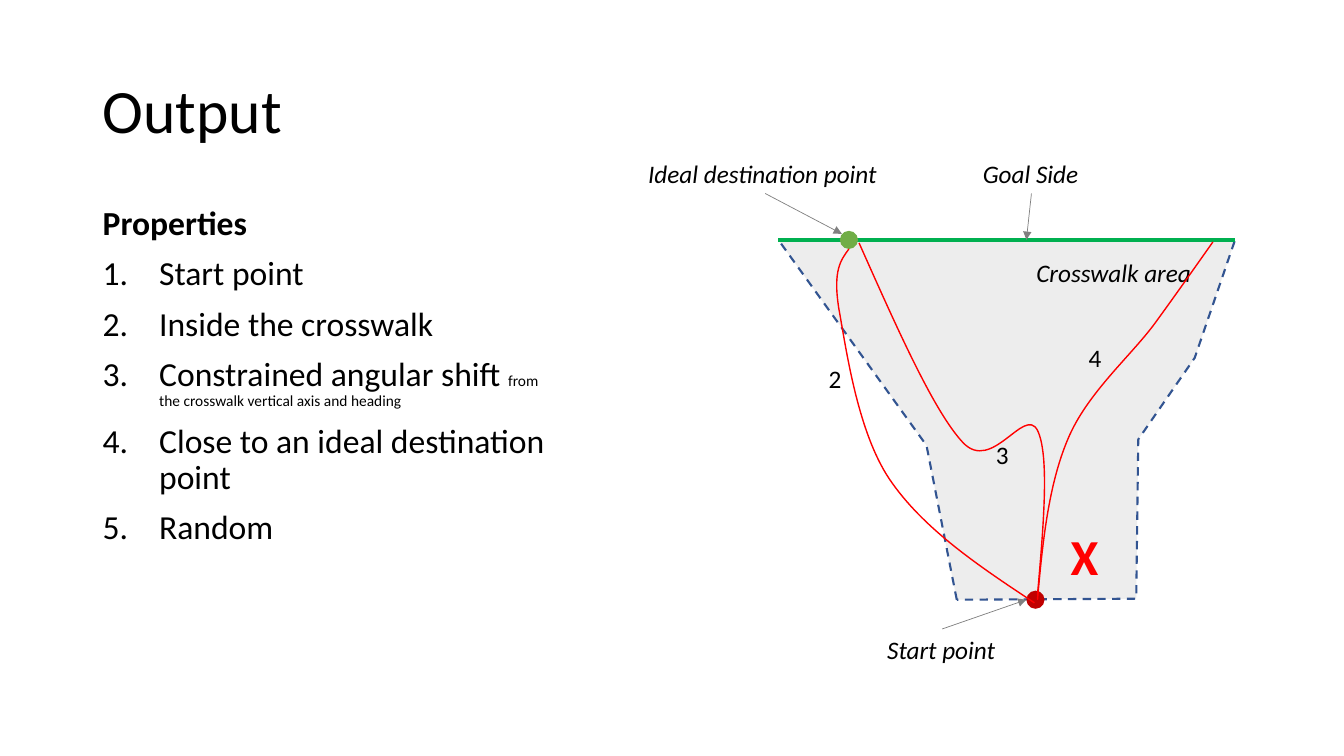
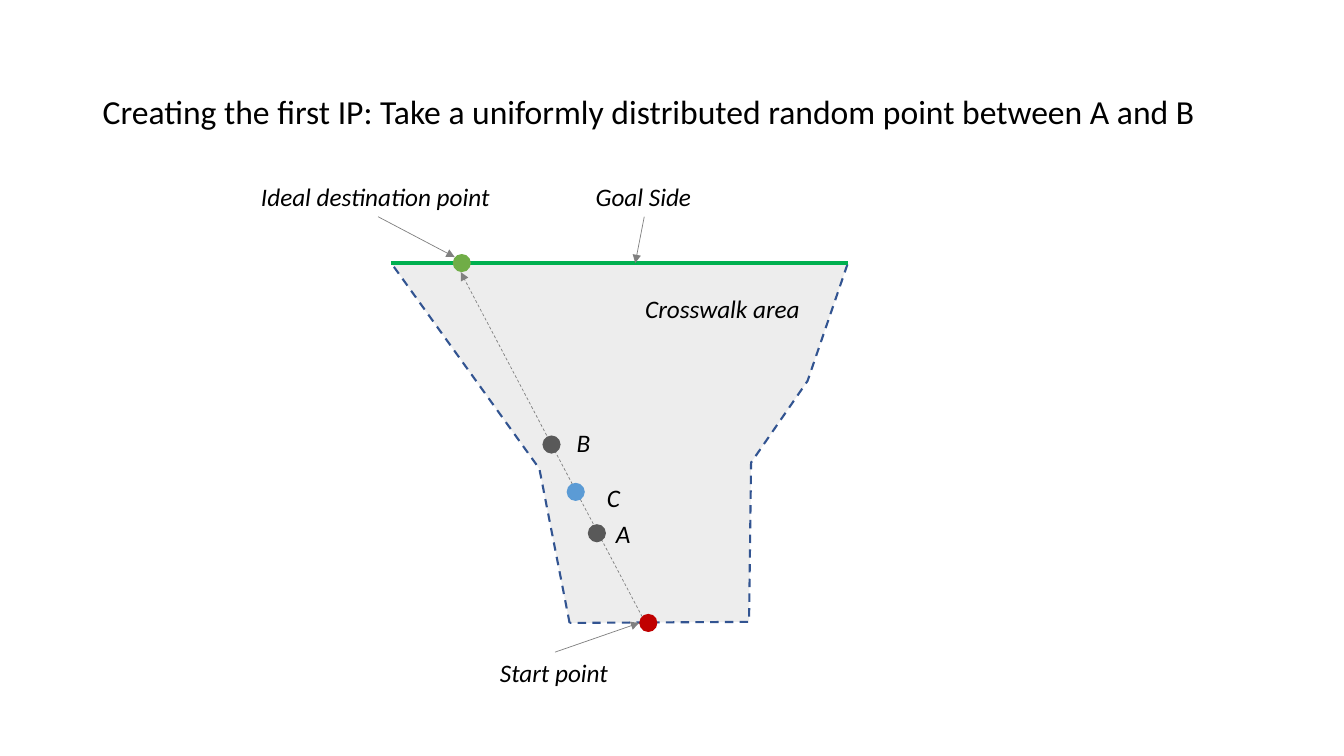
from lxml import etree
from pptx import Presentation
from pptx.dml.color import RGBColor
from pptx.enum.dml import MSO_LINE
from pptx.enum.shapes import MSO_CONNECTOR, MSO_SHAPE
from pptx.enum.text import MSO_ANCHOR
from pptx.oxml.ns import qn
from pptx.util import Inches, Pt

DASH = MSO_LINE.DASH
STRAIGHT = MSO_CONNECTOR.STRAIGHT
OVAL = MSO_SHAPE.OVAL
MIDDLE = MSO_ANCHOR.MIDDLE
TOP, BOTTOM = 0, 2

FONT = "Calibri"
BLACK, RED, GRAY = "000000", "FF0000", "808080"
AREA_FILL, AREA_LINE, GOAL_GREEN = "EDEDED", "325491", "00B050"
START_RED, IDEAL_GREEN, LIMIT_GRAY, PICK_BLUE = "C00000", "70AD47", "595959", "5B9BD5"
DOT = 0.18
LABEL_HEIGHT = 0.4


def paint(shape, fill=None, line=None, width=1, dash=None, arrow=False):
    """Set fill, outline and arrowhead, and switch the shadow off."""
    if fill:
        shape.fill.solid()
        shape.fill.fore_color.rgb = RGBColor.from_string(fill)
    elif hasattr(shape, "fill"):
        shape.fill.background()
    if line:
        shape.line.color.rgb = RGBColor.from_string(line)
        shape.line.width = Pt(width)
        if dash:
            shape.line.dash_style = dash
    else:
        shape.line.fill.background()
    properties = shape._element.spPr
    if arrow:
        etree.SubElement(properties.find(qn("a:ln")), qn("a:tailEnd"), type="triangle")
    etree.SubElement(properties, qn("a:effectLst"))


def add_text(slide, text, box, size=18, color=BLACK, bold=False, italic=False, wrap=False):
    shape = slide.shapes.add_textbox(*[Inches(value) for value in box])
    shape.text_frame.word_wrap = wrap
    paragraph = shape.text_frame.paragraphs[0]
    paragraph.text = text
    font = paragraph.font
    font.name, font.size, font.bold, font.italic = FONT, Pt(size), bold, italic
    font.color.rgb = RGBColor.from_string(color)
    return shape


presentation = Presentation()
presentation.slide_width = Inches(13.33)
presentation.slide_height = Inches(7.5)
blank_layout = presentation.slide_layouts[6]

# Crosswalk diagram, measured from the left end of the goal side
outline = [(1.77, 3.57), (1.47, 2.04), (0, 0), (4.53, 0), (4.13, 1.17), (3.57, 1.98), (3.55, 3.56)]
start_point, ideal_point = (2.55, 3.57), (0.7, 0)

# Title, title size, diagram origin, area label offset, goal arrow tip, extra dots
scenes = [
    ("Output", 44, (7.72, 2.38), (2.46, 0.12), 2.46, []),
    ("Creating the first IP: Take a uniformly distributed random point between A and B",
     24, (3.88, 2.61), (2.42, 0.25), 2.42,
     [(2.04, 2.68, LIMIT_GRAY), (1.59, 1.8, LIMIT_GRAY), (1.83, 2.27, PICK_BLUE)]),
]

slides = []
for title, title_size, (left, top), area_label, goal_tip, extra_dots in scenes:
    slide = presentation.slides.add_slide(blank_layout)
    slides.append(slide)

    # Title
    heading = add_text(slide, title, (0.92, 0.4, 11.5, 1.45), title_size, wrap=True)
    heading.text_frame.vertical_anchor = MIDDLE
    heading.text_frame.paragraphs[0].line_spacing = 0.9

    # Crosswalk area and goal side
    corners = [(Inches(left + x), Inches(top + y)) for x, y in outline]
    builder = slide.shapes.build_freeform(*corners[0])
    builder.add_line_segments(corners[1:], close=True)
    paint(builder.convert_to_shape(), AREA_FILL, AREA_LINE, 1.5, DASH)
    goal_side = slide.shapes.add_connector(
        STRAIGHT, Inches(left), Inches(top), Inches(left + 4.53), Inches(top))
    paint(goal_side, line=GOAL_GREEN, width=3)

    # Line of sight, drawn only where points lie on it
    if extra_dots:
        sight = slide.shapes.add_connector(
            STRAIGHT, Inches(left + 2.49), Inches(top + 3.51),
            Inches(left + 0.69), Inches(top + 0.09))
        paint(sight, line=GRAY, width=0.5, dash=DASH, arrow=True)

    # Dots
    for x, y, color in [(*start_point, START_RED), (*ideal_point, IDEAL_GREEN), *extra_dots]:
        dot = slide.shapes.add_shape(
            OVAL, Inches(left + x - DOT / 2), Inches(top + y - DOT / 2), Inches(DOT), Inches(DOT))
        paint(dot, color)

    # Labels, three of them with an arrow from the middle of a side
    add_text(slide, "Crosswalk area",
             (left + area_label[0], top + area_label[1], 1.75, LABEL_HEIGHT), italic=True)
    for text, x, y, width, side, tip in [
        ("Start point", 0.98, 3.86, 1.29, TOP, (2.46, 3.57)),
        ("Goal Side", 1.93, -0.86, 1.16, BOTTOM, (goal_tip, 0)),
        ("Ideal destination point", -1.39, -0.86, 2.52, BOTTOM, (0.63, -0.06)),
    ]:
        label = add_text(slide, text, (left + x, top + y, width, LABEL_HEIGHT), italic=True)
        pointer = slide.shapes.add_connector(
            STRAIGHT, 0, 0, Inches(left + tip[0]), Inches(top + tip[1]))
        pointer.begin_connect(label, side)
        paint(pointer, line=GRAY, width=0.5, arrow=True)

output_slide, first_ip_slide = slides

# Output: numbered properties
body = add_text(output_slide, "Properties", (0.92, 2, 4.65, 4.76), 24, bold=True, wrap=True)
properties_list = [
    ("Start point", ""),
    ("Inside the crosswalk", ""),
    ("Constrained angular shift ", "from the crosswalk vertical axis and heading"),
    ("Close to an ideal destination point", ""),
    ("Random", ""),
]
for text, remark in properties_list:
    paragraph = body.text_frame.add_paragraph()
    paragraph.text = text
    settings = paragraph._p.get_or_add_pPr()
    settings.set("marL", str(Inches(0.56)))
    settings.set("indent", str(Inches(-0.56)))
    etree.SubElement(settings, qn("a:buAutoNum"), type="arabicPeriod")
    paragraph.font.name, paragraph.font.size = FONT, Pt(24)
    paragraph.font.color.rgb = RGBColor.from_string(BLACK)
    if remark:
        run = paragraph.add_run()
        run.text = remark
        run.font.size = Pt(11)
for paragraph in body.text_frame.paragraphs:
    paragraph.line_spacing = 0.9
    paragraph.space_before = Pt(10)

# Output: rejected trajectories, a start and then three points for each curve
trajectories = [
    [(10.26, 5.98), (9.7, 5.61), (9.15, 5.24), (8.82, 4.75), (8.5, 4.27),
     (8.39, 3.44), (8.32, 3.06), (8.26, 2.68), (8.34, 2.58), (8.42, 2.47)],
    [(10.29, 5.9), (10.35, 5.21), (10.41, 4.52), (10.29, 4.27), (10.16, 4.02),
     (9.84, 4.7), (9.55, 4.39), (9.26, 4.08), (8.89, 3.24), (8.52, 2.41)],
    [(10.29, 5.95), (10.34, 5.38), (10.4, 4.81), (10.59, 4.36), (10.78, 3.9),
     (11.22, 3.53), (11.46, 3.2), (11.7, 2.87), (11.86, 2.64), (12.03, 2.4)],
]
for trajectory in trajectories:
    points = [(Inches(x), Inches(y)) for x, y in trajectory]
    builder = output_slide.shapes.build_freeform(*points[0])
    builder.add_line_segments(points[1:], close=False)
    curve = builder.convert_to_shape()
    paint(curve, line=RED)
    # Turn every three straight segments into one Bézier segment
    segments = list(curve._element.iter(qn("a:lnTo")))
    outline_element = segments[0].getparent()
    for first in range(0, len(segments), 3):
        bezier = etree.SubElement(outline_element, qn("a:cubicBezTo"))
        for segment in segments[first:first + 3]:
            bezier.append(segment[0])
            outline_element.remove(segment)

for number, x, y in [("2", 8.12, 3.56), ("3", 9.78, 4.31), ("4", 10.7, 3.35)]:
    add_text(output_slide, number, (x, y, 0.33, LABEL_HEIGHT))
add_text(output_slide, "X", (10.52, 5.16, 1.16, 0.71), 36, RED, bold=True, wrap=True)

# First IP: names of the points
for name, x, y in [("A", 6.01, 5.09), ("B", 5.62, 4.19), ("C", 5.92, 4.74)]:
    add_text(first_ip_slide, name, (x, y, 0.34, LABEL_HEIGHT), italic=True)

presentation.save("out.pptx")
